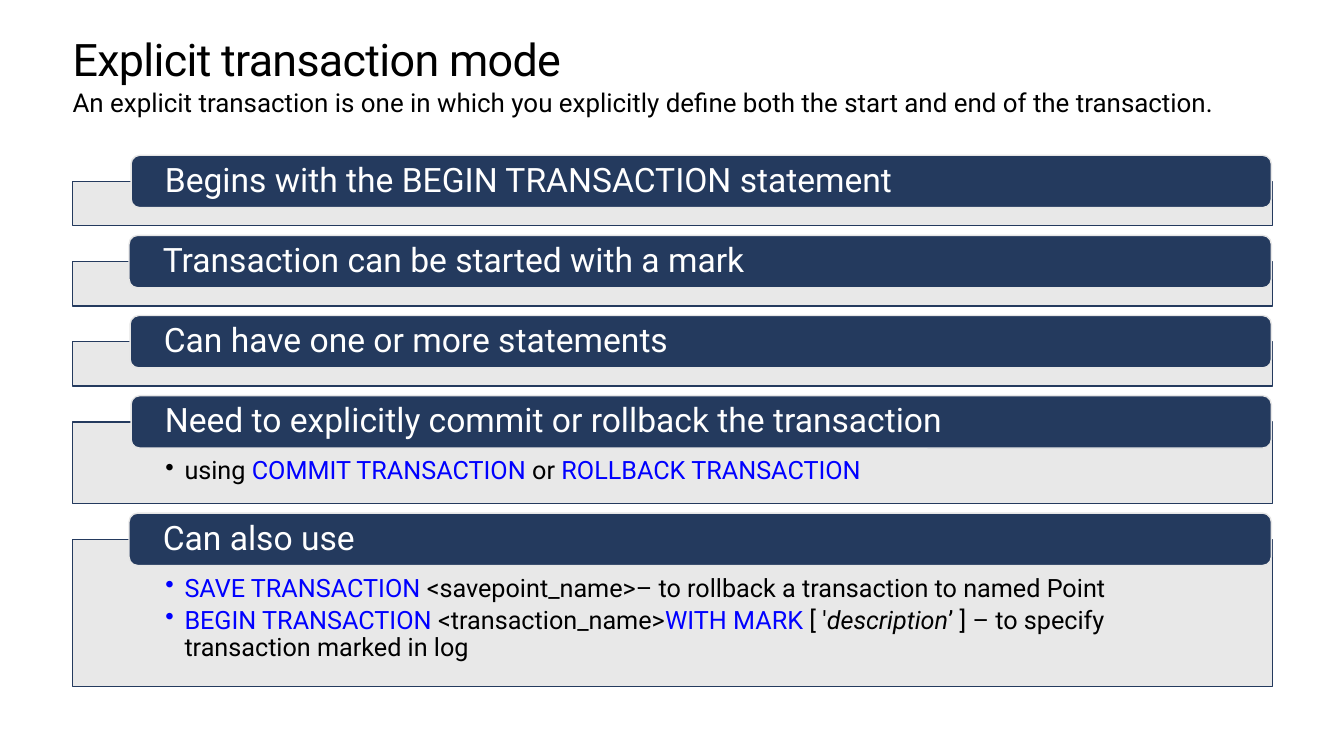
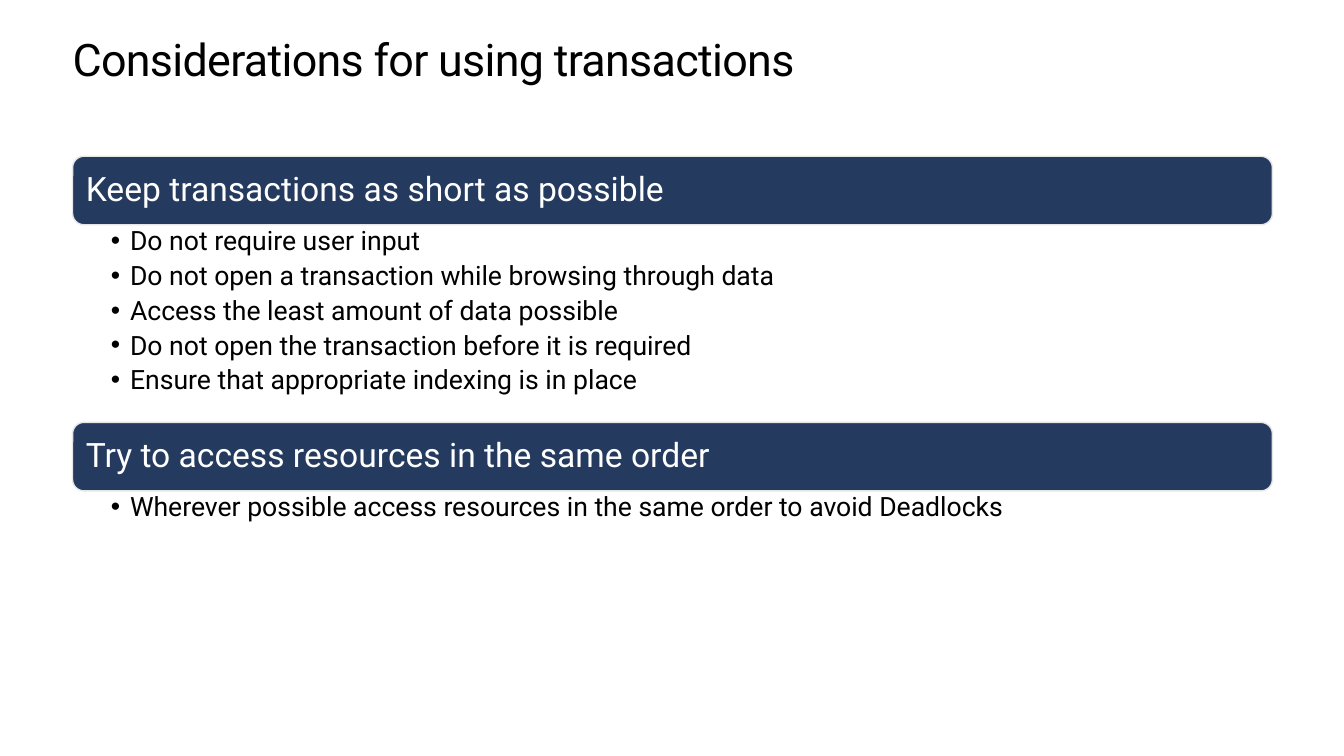
from lxml.etree import SubElement
from pptx import Presentation
from pptx.dml.color import RGBColor
from pptx.enum.shapes import MSO_SHAPE
from pptx.enum.text import MSO_ANCHOR, MSO_AUTO_SIZE, PP_ALIGN
from pptx.oxml.ns import qn
from pptx.util import Inches, Pt

COLORS = {
    "navy": "243A5E",
    "gray": "E6E6E6",
    "white": "FFFFFF",
    "black": "000000",
    "keyword": "0000FF",
}
FONT = "Roboto"
LEFT, WIDTH = 0.72, 11.9
TITLE_AND_BODY, TWO_BODIES = 1, 3


def color(name):
    return RGBColor.from_string(COLORS[name])


class Deck:
    def __init__(self):
        self.presentation = Presentation()
        self.presentation.slide_width = Inches(13.33)
        self.presentation.slide_height = Inches(7.5)
        self.slide = None

    def add_slide(self, layout, title):
        layouts = self.presentation.slide_layouts
        self.slide = self.presentation.slides.add_slide(layouts[layout])
        shape = self.slide.shapes.title
        self.place(shape, 0.35, 0.5)
        shape.fill.solid()
        shape.fill.fore_color.rgb = color("white")
        frame = self.frame(shape)
        paragraph = self.add_runs(frame.paragraphs[0], [(title, "black")], 32)
        paragraph.line_spacing = Pt(36.2)
        paragraph.runs[0]._r.get_or_add_rPr().set("spc", "-50")

    def place(self, shape, top, height):
        shape.left, shape.top = Inches(LEFT), Inches(top)
        shape.width, shape.height = Inches(WIDTH), Inches(height)

    def frame(self, shape, insets=(0, 0, 0, 0), anchor=MSO_ANCHOR.TOP):
        frame = shape.text_frame
        frame.word_wrap = True
        frame.auto_size = MSO_AUTO_SIZE.NONE
        frame.vertical_anchor = anchor
        (frame.margin_left, frame.margin_top,
         frame.margin_right, frame.margin_bottom) = map(Inches, insets)
        return frame

    def add_runs(self, paragraph, runs, size):
        paragraph.alignment = PP_ALIGN.LEFT
        for text, color_name, *style in runs:
            run = paragraph.add_run()
            run.text = text
            run.font.name = FONT
            run.font.size = Pt(size)
            run.font.color.rgb = color(color_name)
            if "italic" in style:
                run.font.italic = True
        return paragraph

    def subtitle(self, text):
        shape = self.slide.placeholders[1]
        self.place(shape, 0.86, 0.5)
        frame = self.frame(shape)
        paragraph = self.add_runs(frame.paragraphs[0], [(text, "black")], 18.5)
        paragraph.space_before = Pt(6.7)
        properties = paragraph._p.get_or_add_pPr()
        properties.set("marL", "0")
        properties.set("indent", "0")
        SubElement(properties, qn("a:buNone"))

    def bullets(self, frame, items, size, space_after):
        for index, runs in enumerate(items):
            paragraph = frame.add_paragraph() if index else frame.paragraphs[0]
            self.add_runs(paragraph, runs, size)
            paragraph.line_spacing = 0.9
            paragraph.space_before = Pt(0)
            paragraph.space_after = Pt(space_after)
            properties = paragraph._p.get_or_add_pPr()
            properties.set("marL", str(Inches(0.19)))
            properties.set("indent", str(-Inches(0.19)))
            SubElement(properties, qn("a:buChar"), char="•")

    def box(self, kind, left, top, width, height, fill, line):
        shape = self.slide.shapes.add_shape(
            kind, Inches(left), Inches(top), Inches(width), Inches(height))
        shape.shadow.inherit = False
        shape.fill.solid()
        shape.fill.fore_color.rgb = color(fill)
        shape.line.color.rgb = color(line)
        shape.line.width = Pt(1)
        return shape

    def header(self, text, left, top, width, height, inset):
        shape = self.box(MSO_SHAPE.ROUNDED_RECTANGLE, left, top, width, height,
                         "navy", "gray")
        frame = self.frame(shape, (inset, 0, inset, 0), MSO_ANCHOR.MIDDLE)
        paragraph = self.add_runs(frame.paragraphs[0], [(text, "white")], 24)
        paragraph.line_spacing = 0.9

    def panel(self, top, height, items):
        shape = self.box(MSO_SHAPE.RECTANGLE, LEFT, top, WIDTH, height,
                         "gray", "navy")
        fill_color = shape._element.spPr.find(qn("a:solidFill"))[0]
        SubElement(fill_color, qn("a:alpha"), val="90000")
        if items:
            frame = self.frame(shape, (0.92, 0.36, 0.92, 0.14))
            self.bullets(frame, items, 18, 3.2)

    def list_body(self, index, top, height, lines):
        shape = self.slide.placeholders[index]
        self.place(shape, top, height)
        frame = self.frame(shape, (0.38, 0.03, 0.19, 0.03))
        self.bullets(frame, [[(line, "black")] for line in lines], 19, 4.3)


def explicit_mode_slide(deck):
    deck.add_slide(TITLE_AND_BODY, "Explicit transaction mode")
    deck.subtitle("An explicit transaction is one in which you explicitly define "
                  "both the start and end of the transaction.")
    commit_items = [[
        ("using ", "black"), ("COMMIT TRANSACTION ", "keyword"),
        ("or ", "black"), ("ROLLBACK TRANSACTION", "keyword"),
    ]]
    mark_items = [
        [("SAVE TRANSACTION ", "keyword"),
         ("<savepoint_name>– to rollback a transaction to named Point", "black")],
        [("BEGIN TRANSACTION ", "keyword"), ("<transaction_name>", "black"),
         ("WITH MARK ", "keyword"), ("[ '", "black"),
         ("description", "black", "italic"),
         ("’ ] – to specify transaction marked in log", "black")],
    ]
    sections = [
        ("Begins with the BEGIN TRANSACTION statement", 1.3, 0.44, []),
        ("Transaction can be started with a mark", 1.28, 0.44, []),
        ("Can have one or more statements", 1.29, 0.44, []),
        ("Need to explicitly commit or rollback the transaction", 1.3, 0.81,
         commit_items),
        ("Can also use", 1.28, 1.46, mark_items),
    ]
    top, bottom, overhang, header_right = 1.54, 6.81, 0.26, 12.61
    used = sum(overhang + height for _, _, height, _ in sections)
    gap = (bottom - top - used) / (len(sections) - 1)
    for text, left, height, items in sections:
        deck.panel(top + overhang, height, items)
        deck.header(text, left, top, header_right - left, 0.52, 0.31)
        top += overhang + height + gap


def considerations_slide(deck):
    deck.add_slide(TWO_BODIES, "Considerations for using transactions")
    sections = [
        ("Keep transactions as short as possible", 1.96, [
            "Do not require user input",
            "Do not open a transaction while browsing through data",
            "Access the least amount of data possible",
            "Do not open the transaction before it is required",
            "Ensure that appropriate indexing is in place",
        ]),
        ("Try to access resources in the same order", 0.43, [
            "Wherever possible access resources in the same order "
            "to avoid Deadlocks",
        ]),
    ]
    top, header_height = 1.55, 0.68
    for index, (text, height, lines) in enumerate(sections, 1):
        deck.header(text, LEFT, top, WIDTH, header_height, 0.1)
        deck.list_body(index, top + header_height, height, lines)
        top += header_height + height


def main():
    deck = Deck()
    explicit_mode_slide(deck)
    considerations_slide(deck)
    deck.presentation.save("out.pptx")


if __name__ == "__main__":
    main()
